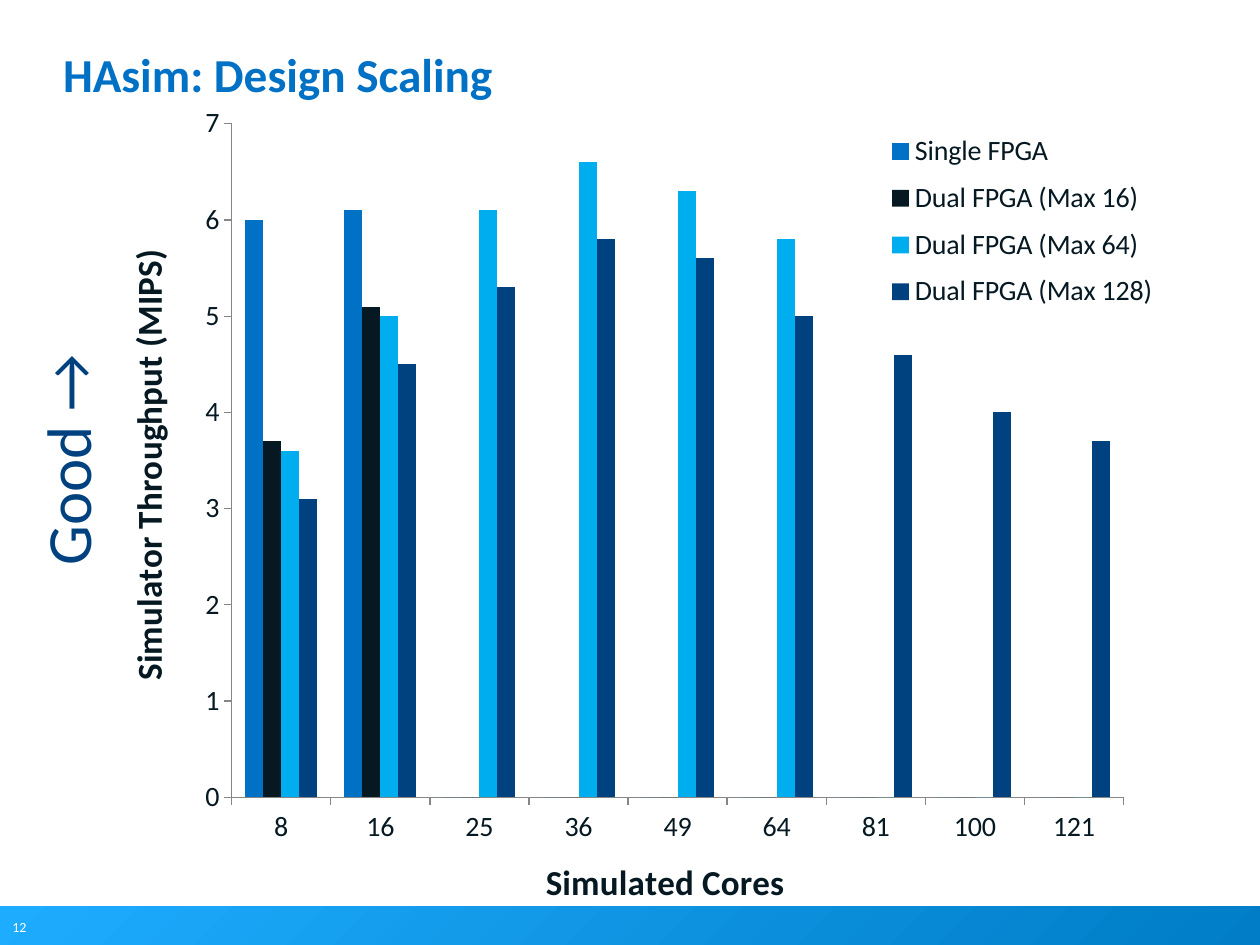
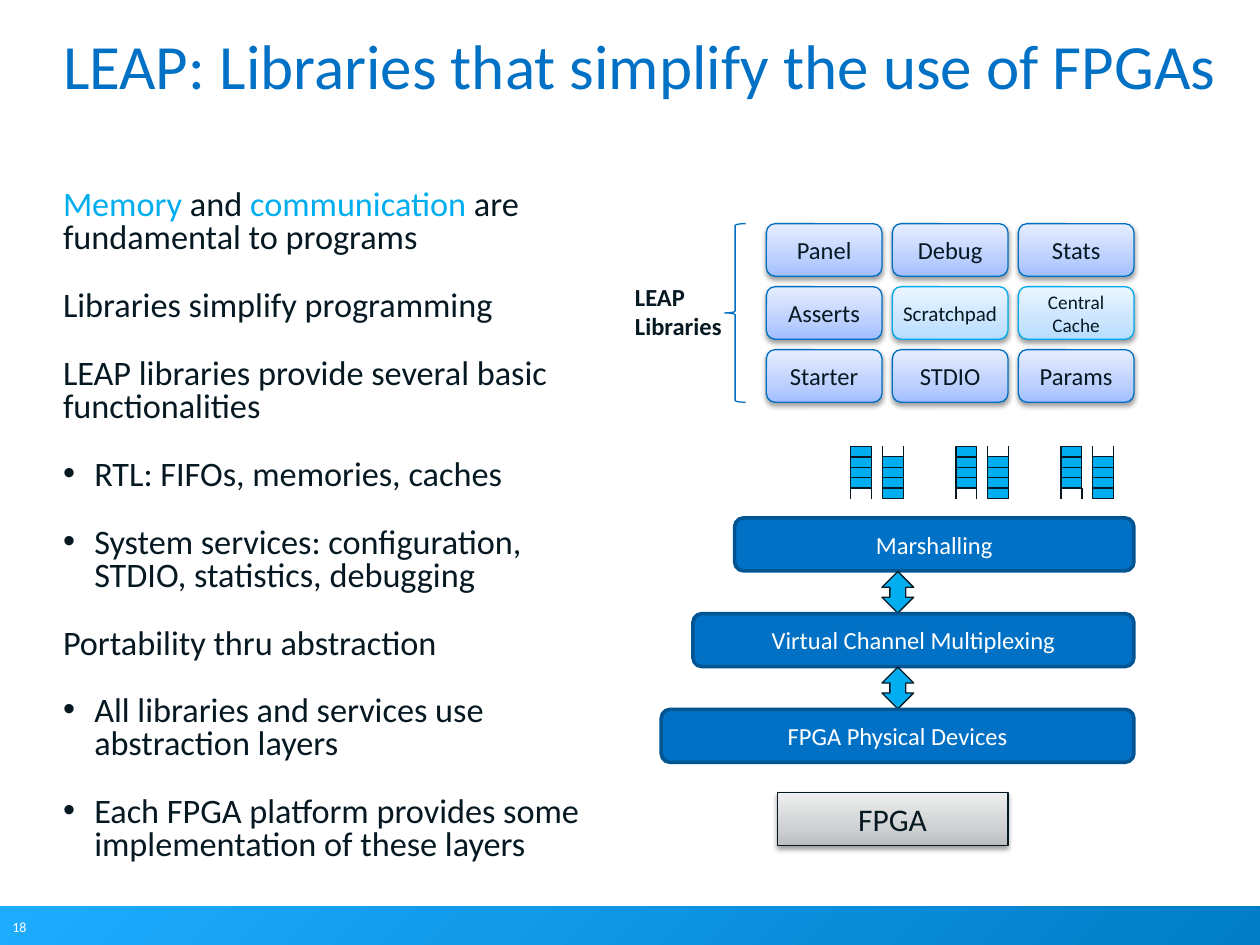
"""Builds two slides on FPGA simulation: a scaling chart and a library stack."""
from lxml.etree import SubElement
from pptx import Presentation
from pptx.chart.data import CategoryChartData
from pptx.dml.color import RGBColor
from pptx.enum.chart import XL_CHART_TYPE, XL_LEGEND_POSITION, XL_TICK_MARK
from pptx.enum.shapes import MSO_CONNECTOR, MSO_SHAPE
from pptx.enum.text import MSO_ANCHOR, MSO_AUTO_SIZE, PP_ALIGN
from pptx.oxml import parse_xml
from pptx.oxml.ns import nsdecls, qn
from pptx.util import Cm, Pt

FONT = "Calibri"
BLUE = RGBColor(0x00, 0x71, 0xC5)
NAVY = RGBColor(0x00, 0x42, 0x80)
CYAN = RGBColor(0x00, 0xAE, 0xEF)
INK = RGBColor(0x06, 0x19, 0x22)
WHITE = RGBColor(0xFF, 0xFF, 0xFF)
GRAY = RGBColor(0x86, 0x86, 0x86)
LAYER_EDGE = RGBColor(0x00, 0x54, 0x92)
CARD_EDGE = RGBColor(0x00, 0x6F, 0xC1)
MEMORY_EDGE = RGBColor(0x00, 0xAA, 0xEA)


def gradient(angle, **stops):
    """Return an angle with (position, colour) stops, given as p0="RRGGBB"."""
    return angle, [(int(name[1:]), RGBColor.from_string(value)) for name, value in stops.items()]


BAND_FILL = gradient(45, p0="1EACFF", p100="007DC6")
CARD_FILL = gradient(270, p0="A2BEFF", p35="BDD1FF", p100="E6EDFF")
MEMORY_FILL = gradient(270, p0="B5DCFF", p35="CBE5FF", p100="EBF5FF")
CHIP_FILL = gradient(270, p0="BCBDBE", p35="D0D1D2", p100="EDEEEE")

CORES = ["8", "16", "25", "36", "49", "64", "81", "100", "121"]
THROUGHPUT = [
    ("Single FPGA", BLUE, [6, 6.1, 0, 0, 0, 0, 0, 0, 0]),
    ("Dual FPGA (Max 16)", INK, [3.7, 5.1, 0, 0, 0, 0, 0, 0, 0]),
    ("Dual FPGA (Max 64)", CYAN, [3.6, 5, 6.1, 6.6, 6.3, 5.8, 0, 0, 0]),
    ("Dual FPGA (Max 128)", NAVY, [3.1, 4.5, 5.3, 5.8, 5.6, 5, 4.6, 4, 3.7]),
]
POINTS = [
    "*Memory* and *communication* are fundamental to programs",
    "Libraries simplify programming",
    "LEAP libraries provide several basic functionalities",
    "• RTL: FIFOs, memories, caches",
    "• System services: configuration, STDIO, statistics, debugging",
    "Portability thru abstraction",
    "• All libraries and services use abstraction layers",
    "• Each FPGA platform provides some implementation of these layers",
]
LIBRARIES = ["Panel", "Debug", "Stats", "Asserts", "Scratchpad", "Central\nCache",
             "Starter", "STDIO", "Params"]
MEMORY_LIBRARIES = {"Scratchpad": 12, "Central\nCache": 11}
LAYERS = [("Marshalling", 8.05), ("Virtual Channel Multiplexing", 8.89),
          ("FPGA Physical Devices", 9.53)]


def set_bullet(paragraph, bulleted):
    """Give a paragraph a hanging bullet, or none."""
    properties = paragraph._p.get_or_add_pPr()
    indent = Cm(0.63) if bulleted else 0
    properties.set("marL", str(indent))
    properties.set("indent", str(-indent))
    if bulleted:
        SubElement(properties, qn("a:buFont")).set("typeface", "Arial")
        SubElement(properties, qn("a:buChar")).set("char", "•")
    else:
        SubElement(properties, qn("a:buNone"))


def write_text(frame, text, size, color=INK, bold=False, align=PP_ALIGN.LEFT,
               anchor=MSO_ANCHOR.TOP, wrap=True, inset=None, line_spacing=None,
               space_before=None, listed=False):
    """Write lines of text; *marked* words turn cyan and listed lines may start with a bullet."""
    frame.word_wrap = wrap
    frame.auto_size = MSO_AUTO_SIZE.NONE
    frame.vertical_anchor = anchor
    if inset is not None:
        frame.margin_left = frame.margin_right = frame.margin_top = frame.margin_bottom = inset
    for index, line in enumerate(text.split("\n")):
        paragraph = frame.add_paragraph() if index else frame.paragraphs[0]
        paragraph.alignment = align
        if line_spacing is not None:
            paragraph.line_spacing = line_spacing
        if space_before is not None:
            paragraph.space_before = space_before
        if listed:
            set_bullet(paragraph, line.startswith("• "))
            line = line.removeprefix("• ")
        for position, part in enumerate(line.split("*")):
            if part:
                run = paragraph.add_run()
                run.text = part
                set_font(run.font, size, CYAN if position % 2 else color, bold)


def set_font(font, size, color=INK, bold=False):
    """Set the shared typeface with a size, colour and weight."""
    font.name, font.size, font.bold = FONT, Pt(size), bold
    font.color.rgb = color


def set_fill(shape, fill):
    """Fill a shape with a colour, a gradient, or nothing."""
    if fill is None:
        shape.fill.background()
    elif isinstance(fill, RGBColor):
        shape.fill.solid()
        shape.fill.fore_color.rgb = fill
    else:
        angle, stops = fill
        shape.fill.gradient()
        element = shape._element.spPr.find(qn("a:gradFill"))
        for child in list(element):
            element.remove(child)
        stop_list = SubElement(element, qn("a:gsLst"))
        for position, color in stops:
            stop = SubElement(stop_list, qn("a:gs"), pos=str(position * 1000))
            SubElement(stop, qn("a:srgbClr"), val=str(color))
        SubElement(element, qn("a:lin"), ang=str(angle * 60000), scaled="0")


def set_layout(element, index, **fractions):
    """Place a chart part by fractions of the chart's size."""
    for child in element.findall(qn("c:layout")):
        element.remove(child)
    layout = parse_xml(f"<c:layout {nsdecls('c')}><c:manualLayout/></c:layout>")
    manual = layout[0]
    if index == 0:
        SubElement(manual, qn("c:layoutTarget"), val="inner")
    for name in ("xMode", "yMode"):
        SubElement(manual, qn(f"c:{name}"), val="edge")
    for name, value in fractions.items():
        SubElement(manual, qn(f"c:{name}"), val=str(value))
    element.insert(index, layout)


class Deck:
    """Holds the shared style and the current slide."""

    def __init__(self):
        self.presentation = Presentation()
        self.presentation.slide_width = Cm(25.4)
        self.presentation.slide_height = Cm(19.05)
        self.slide = None

    def add_slide(self, layout, number, title, title_size, bold=False, title_width=22.86):
        self.slide = self.presentation.slides.add_slide(self.presentation.slide_layouts[layout])
        self.shape(MSO_SHAPE.RECTANGLE, 0, 18.27, 25.43, 0.81, fill=BAND_FILL)
        self.text(number, 0, 18.39, 0.79, 0.61, size=8, color=WHITE, wrap=False)
        self.placeholder(self.slide.shapes.title, title, 1.27, 1.14, title_width, 2.46,
                         size=title_size, color=BLUE, bold=bold, line_spacing=Pt(26))

    def placeholder(self, shape, text, left, top, width, height, **style):
        shape.left, shape.top, shape.width, shape.height = map(Cm, (left, top, width, height))
        write_text(shape.text_frame, text, inset=0, **style)

    def text(self, text, left, top, width, height, rotation=0, **style):
        box = self.slide.shapes.add_textbox(Cm(left), Cm(top), Cm(width), Cm(height))
        box.rotation = rotation
        write_text(box.text_frame, text, **style)

    def shape(self, kind, left, top, width, height, fill=None, edge=None, weight=0.75,
              adjustments=(), shadow=False, parent=None, text=None, **style):
        shapes = (parent or self.slide).shapes
        shape = shapes.add_shape(kind, Cm(left), Cm(top), Cm(width), Cm(height))
        shape.shadow.inherit = False
        set_fill(shape, fill)
        if edge is None:
            shape.line.fill.background()
        else:
            shape.line.color.rgb = edge
            shape.line.width = Pt(weight)
        for index, value in enumerate(adjustments):
            shape.adjustments[index] = value
        if shadow:
            effects = shape._element.spPr.find(qn("a:effectLst"))
            outer = SubElement(effects, qn("a:outerShdw"), blurRad=str(Pt(3.1)),
                               dist=str(Pt(1.6)), dir="5400000", rotWithShape="0")
            color = SubElement(outer, qn("a:srgbClr"), val="000000")
            SubElement(color, qn("a:alpha"), val="38000")
        if text:
            write_text(shape.text_frame, text, align=PP_ALIGN.CENTER,
                       anchor=MSO_ANCHOR.MIDDLE, wrap=False, **style)

    def line(self, parent, left, top, right, bottom):
        connector = parent.shapes.add_connector(
            MSO_CONNECTOR.STRAIGHT, Cm(left), Cm(top), Cm(right), Cm(bottom))
        connector.line.color.rgb = INK
        connector.line.width = Pt(0.75)
        SubElement(connector._element.spPr, qn("a:effectLst"))

    def queue(self, left, top, filled_from_top):
        cell, width = 0.21, 0.42
        group = self.slide.shapes.add_group_shape()
        first = top if filled_from_top else top + cell
        tail = top + 4 * cell if filled_from_top else top
        self.shape(MSO_SHAPE.RECTANGLE, left, first, width, 4 * cell, fill=CYAN, edge=INK,
                   parent=group)
        for x in (left, left + width):
            self.line(group, x, tail, x, tail + cell)
        for step in range(1, 4):
            y = first + step * cell
            self.line(group, left, y, left + width, y)

    def column_chart(self, left, top, width, height):
        data = CategoryChartData()
        data.categories = CORES
        for name, _, values in THROUGHPUT:
            data.add_series(name, values)
        chart = self.slide.shapes.add_chart(
            XL_CHART_TYPE.COLUMN_CLUSTERED, Cm(left), Cm(top), Cm(width), Cm(height), data).chart
        chart.has_title = False
        set_font(chart.font, 10)
        plot = chart.plots[0]
        plot.gap_width, plot.overlap, plot.vary_by_categories = 150, 0, False
        for series, (_, color, _) in zip(plot.series, THROUGHPUT):
            series.format.fill.solid()
            series.format.fill.fore_color.rgb = color
            series.invert_if_negative = False
        self.axis(chart.category_axis, "Simulated Cores", 0.35, 0.86)
        self.axis(chart.value_axis, "Simulator Throughput (MIPS)", 0, 0.16)
        chart.value_axis.minimum_scale = 0
        chart.value_axis.maximum_scale = 7
        chart.value_axis.major_unit = 1
        chart.has_legend = True
        chart.legend.position = XL_LEGEND_POSITION.RIGHT
        chart.legend.include_in_layout = False
        set_font(chart.legend.font, 16)
        set_layout(chart.legend._element, 1, x=0.63, y=0.02, w=0.24, h=0.23)
        plot_area = chart._chartSpace.chart.plotArea
        set_layout(plot_area, 0, x=0.095, y=0.022, w=0.739, h=0.777)

    def axis(self, axis, title, x, y):
        axis.has_major_gridlines = False
        axis.major_tick_mark = XL_TICK_MARK.OUTSIDE
        axis.minor_tick_mark = XL_TICK_MARK.NONE
        axis.format.line.color.rgb = GRAY
        set_font(axis.tick_labels.font, 16)
        paragraph = axis.axis_title.text_frame.paragraphs[0]
        run = paragraph.add_run()
        run.text = title
        set_font(run.font, 20, bold=True)
        set_layout(axis.axis_title._element, 1, x=x, y=y)


def build_scaling(deck):
    """Build the slide that charts throughput against cores."""
    deck.add_slide(5, "12", "HAsim: Design Scaling", 27, bold=True)
    deck.text("Good →", -3.2, 6.2, 9.09, 1.8, rotation=270, size=36, color=NAVY)
    deck.column_chart(2.36, 2.11, 24.33, 17.48)


def build_libraries(deck):
    """Build the slide that lists the libraries and draws their stack."""
    deck.add_slide(1, "18", "LEAP: Libraries that simplify the use of FPGAs", 36,
                   title_width=23.93)
    deck.placeholder(deck.slide.placeholders[1], "\n".join(POINTS), 1.27, 3.84, 11.2, 14.38,
                     size=19.6, line_spacing=0.8, space_before=Pt(20), listed=True)

    for index, label in enumerate(LIBRARIES):
        row, column = divmod(index, 3)
        memory = label in MEMORY_LIBRARIES
        deck.shape(MSO_SHAPE.ROUNDED_RECTANGLE, 15.45 + 2.54 * column, 4.51 + 1.27 * row,
                   2.33, 1.06, fill=MEMORY_FILL if memory else CARD_FILL,
                   edge=MEMORY_EDGE if memory else CARD_EDGE, shadow=True,
                   text=label, size=MEMORY_LIBRARIES.get(label, 14))
    deck.shape(MSO_SHAPE.LEFT_BRACE, 14.61, 4.51, 0.42, 3.6, edge=CARD_EDGE)
    deck.text("LEAP\nLibraries", 12.55, 5.56, 2.29, 1.45, size=14, bold=True, wrap=False)

    for pair in range(3):
        left = 17.15 + 2.12 * pair
        deck.queue(left, 9, True)
        deck.queue(left + 0.64, 9, False)

    for index, (label, width) in enumerate(LAYERS):
        top = 10.44 + 1.93 * index
        deck.shape(MSO_SHAPE.ROUNDED_RECTANGLE, 22.86 - width, top, width, 1.07, fill=BLUE,
                   edge=LAYER_EDGE, weight=2, text=label, size=14, color=WHITE)
        if index < len(LAYERS) - 1:
            deck.shape(MSO_SHAPE.UP_DOWN_ARROW, 17.78, top + 1.08, 0.64, 0.84, fill=CYAN,
                       edge=INK, adjustments=(0.25, 0.5))
    deck.shape(MSO_SHAPE.RECTANGLE, 15.67, 15.98, 4.65, 1.07, fill=CHIP_FILL, edge=INK,
               shadow=True, text="FPGA", size=18)


def main():
    """Build and save the presentation."""
    deck = Deck()
    build_scaling(deck)
    build_libraries(deck)
    deck.presentation.save("out.pptx")


if __name__ == "__main__":
    main()
